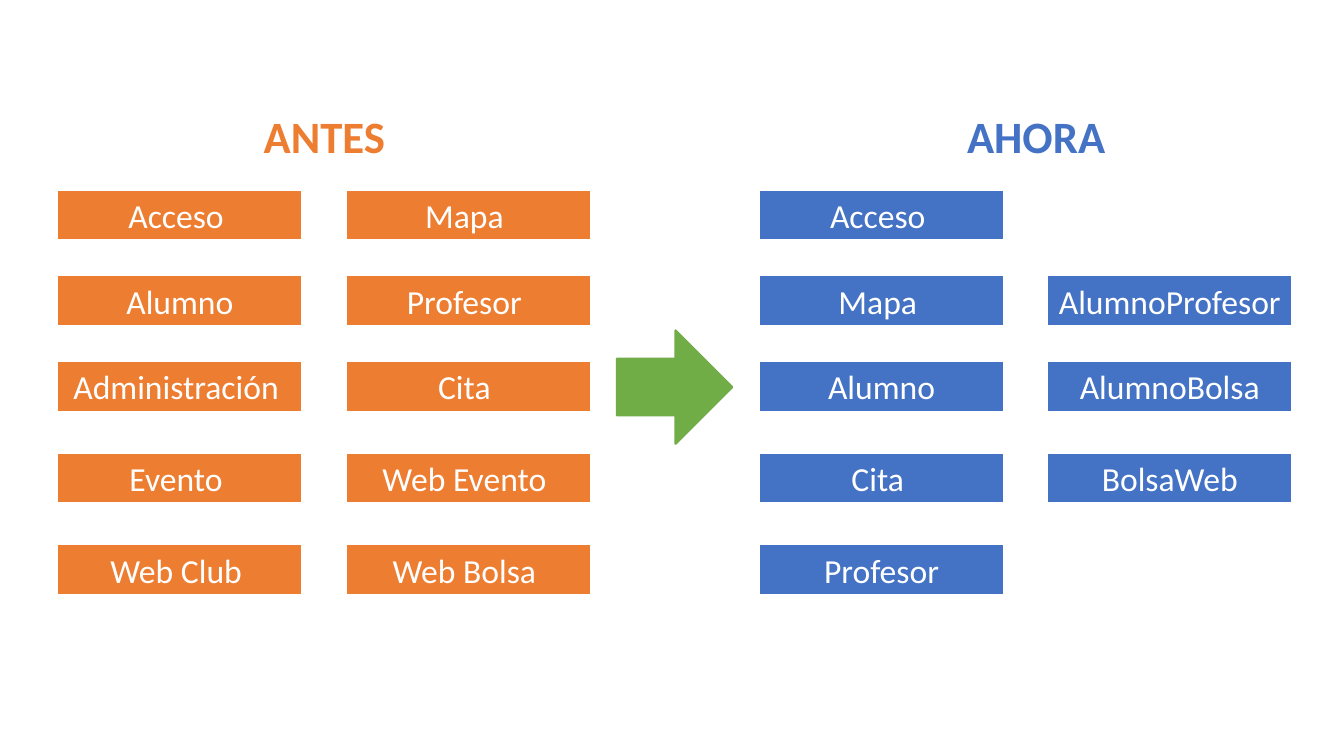
from pptx import Presentation
from pptx.dml.color import RGBColor
from pptx.enum.shapes import MSO_SHAPE
from pptx.enum.text import MSO_ANCHOR, MSO_AUTO_SIZE, PP_ALIGN
from pptx.util import Pt

RECT, ARROW = MSO_SHAPE.RECTANGLE, MSO_SHAPE.RIGHT_ARROW
MIDDLE, TOP = MSO_ANCHOR.MIDDLE, MSO_ANCHOR.TOP
GROW, CENTER = MSO_AUTO_SIZE.SHAPE_TO_FIT_TEXT, PP_ALIGN.CENTER

ORANGE, BLUE, GREEN, WHITE = "ED7D31", "4472C4", "70AD47", "FFFFFF"
BOX_W, BOX_H, COL_STEP = 175, 36.35, 205.9
ROW_TOPS = [135.4, 196.6, 257.8, 323.3, 388.8]

# Heading, heading left, first column left, colour, columns of boxes by row
GROUPS = [
    ("ANTES", 41, 41, ORANGE, [
        ["Acceso ", "Alumno", "Administración ", "Evento ", "Web Club "],
        ["Mapa ", "Profesor ", "Cita ", "Web Evento ", "Web Bolsa "]]),
    ("AHORA", 549.4, 542.2, BLUE, [
        ["Acceso ", "Mapa ", "Alumno", "Cita ", "Profesor"],
        [None, "AlumnoProfesor", "AlumnoBolsa", "BolsaWeb", None]]),
]


def rgb(color):
    return RGBColor.from_string(color)


class Deck:
    """Holds the text style and the current slide."""

    def __init__(self, slide, font="Calibri"):
        self.s = slide
        self.font = font

    def label(self, sp, text, color, anchor, **font):
        tf = sp.text_frame
        frame = {"word_wrap": True, "auto_size": GROW, "vertical_anchor": anchor}
        for name, value in frame.items():
            setattr(tf, name, value)
        p = tf.paragraphs[0]
        p.alignment = CENTER
        r = p.add_run()
        r.text = text
        for name, value in {"name": self.font, **font}.items():
            setattr(r.font, name, value)
        r.font.color.rgb = rgb(color)

    def shape(self, kind, x, y, w, h, fill, line):
        sp = self.s.shapes.add_shape(kind, Pt(x), Pt(y), Pt(w), Pt(h))
        sp.shadow.inherit = False
        sp.fill.solid()
        sp.fill.fore_color.rgb = rgb(fill)
        sp.line.color.rgb = rgb(line)
        sp.line.width = Pt(1.5)
        return sp

    def box(self, text, x, y, fill):
        sp = self.shape(RECT, x, y, BOX_W, BOX_H, fill, WHITE)
        self.label(sp, text, WHITE, MIDDLE, size=Pt(24))

    def heading(self, text, x, y, w, h, color):
        sp = self.s.shapes.add_textbox(Pt(x), Pt(y), Pt(w), Pt(h))
        self.label(sp, text, color, TOP, size=Pt(32), bold=True)


def main():
    prs = Presentation()
    prs.slide_width, prs.slide_height = Pt(960), Pt(540)
    deck = Deck(prs.slides.add_slide(prs.slide_layouts[6]))

    # Before and after groups
    for title, title_left, left, color, columns in GROUPS:
        for i, column in enumerate(columns):
            for text, top in zip(column, ROW_TOPS):
                if text:
                    deck.box(text, left + i * COL_STEP, top, color)
        deck.heading(title, title_left, 74.2, 381.6, 46, color)

    # Arrow between the groups
    deck.shape(ARROW, 440.6, 236, 82.4, 81, GREEN, GREEN)

    prs.save("out.pptx")


if __name__ == "__main__":
    main()
